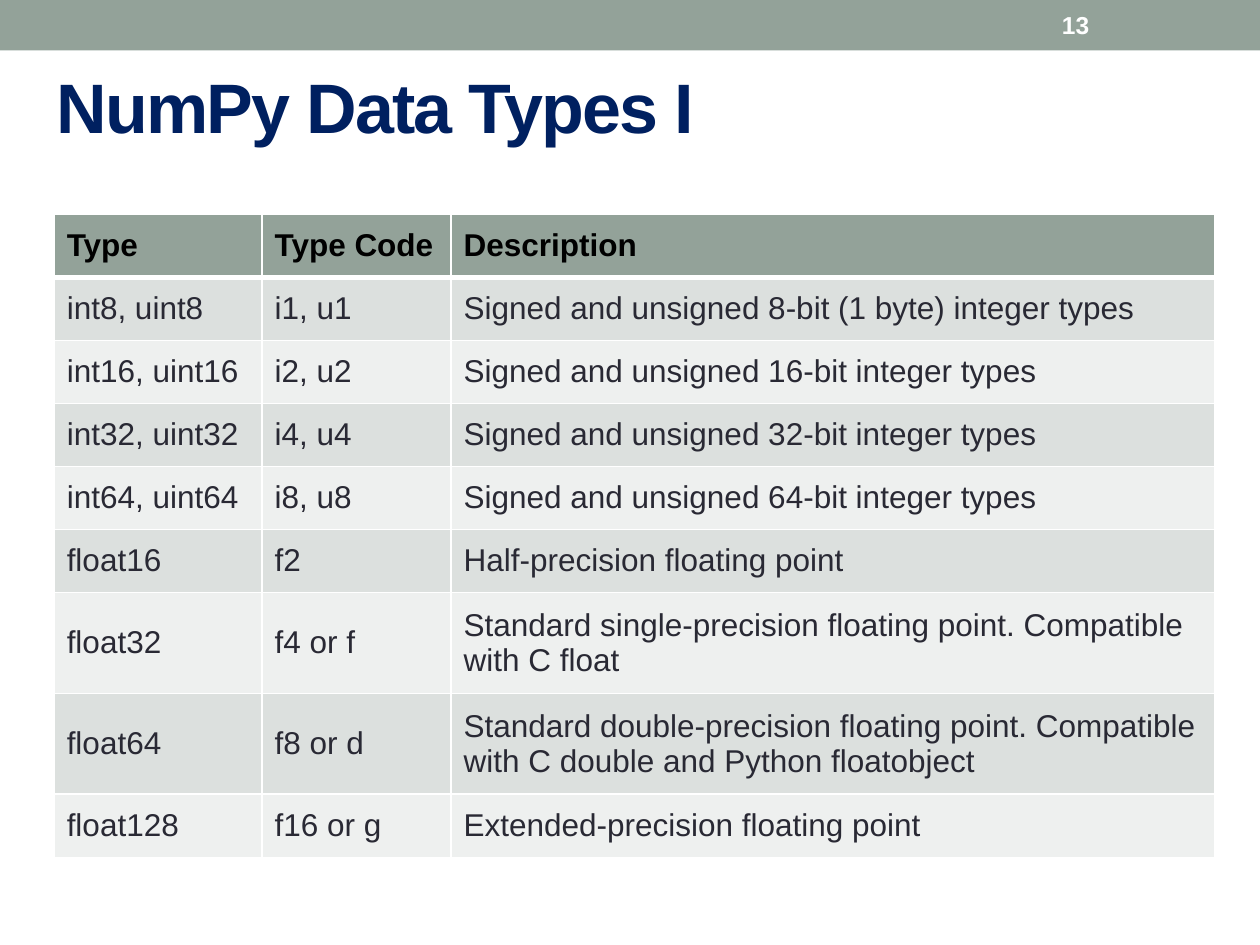
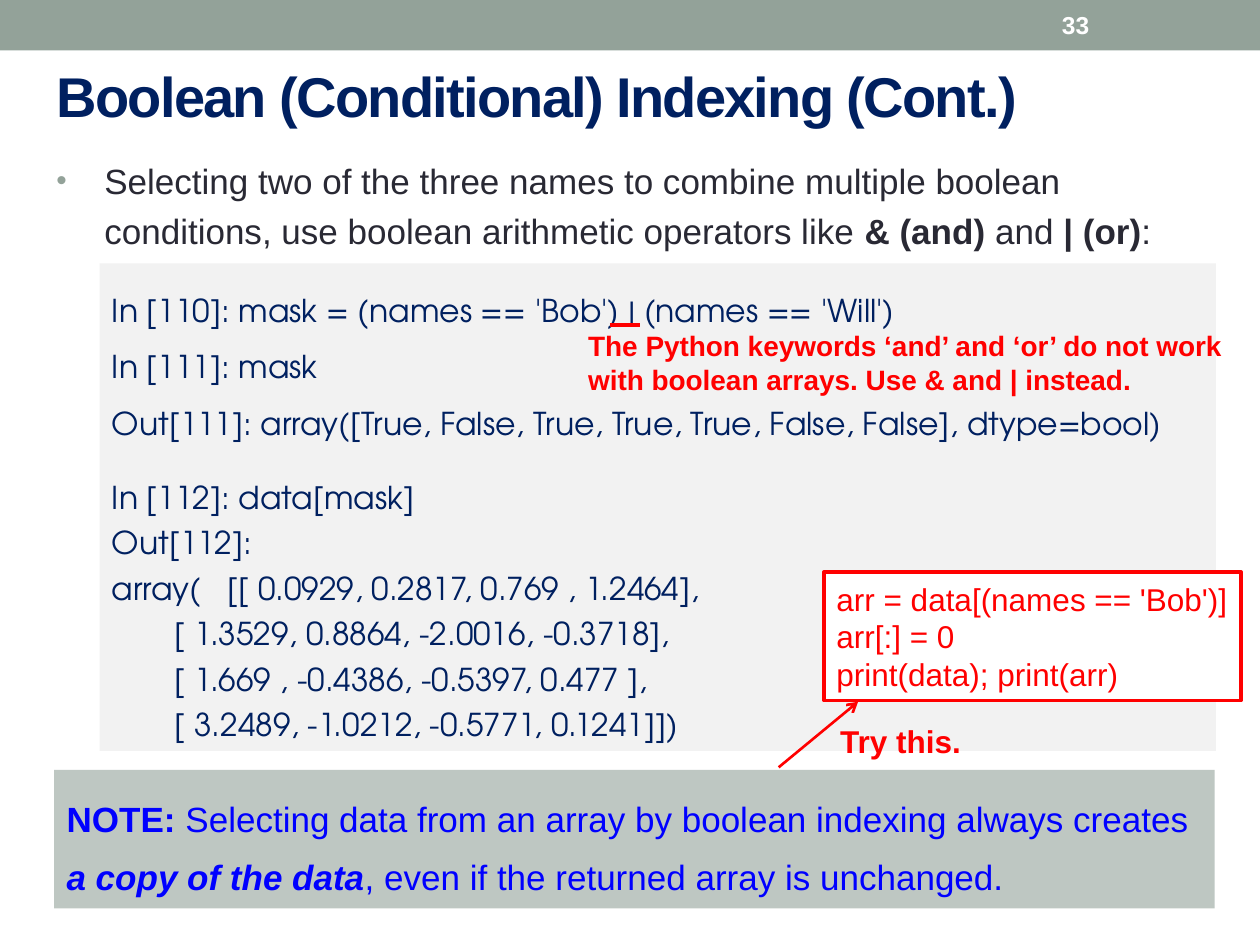
from lxml.etree import SubElement as Sub
from pptx import Presentation
from pptx.dml.color import RGBColor
from pptx.enum.shapes import MSO_CONNECTOR as Conn, MSO_SHAPE as Shape
from pptx.enum.text import MSO_ANCHOR as Anchor, PP_ALIGN as Align
from pptx.oxml.ns import qn
from pptx.util import Inches, Pt

# Shared style
HUES = {
    "band": "93A299", "title": "002060", "ink": "292934", "head": "000000",
    "odd": "DCE0DE", "even": "EEF0EF", "code": "F2F2F2", "note": "BEC7C2",
    "blue": "0000FF", "red": "FF0000", "white": "FFFFFF",
}
SANS, GEO = "Arial", "TeX Gyre Adventor"

# Slide 1 content
COLS = [1.65, 1.5, 6.06]
ROW = 0.41
TYPES = [
    ("Type", "Type Code", "Description"),
    ("int8, uint8", "i1, u1", "Signed and unsigned 8-bit (1 byte) integer types"),
    ("int16, uint16", "i2, u2", "Signed and unsigned 16-bit integer types"),
    ("int32, uint32", "i4, u4", "Signed and unsigned 32-bit integer types"),
    ("int64, uint64", "i8, u8", "Signed and unsigned 64-bit integer types"),
    ("float16", "f2", "Half-precision floating point"),
    ("float32", "f4 or f",
     "Standard single-precision floating point. Compatible with C float"),
    ("float64", "f8 or d",
     "Standard double-precision floating point. Compatible with C double "
     "and Python floatobject"),
    ("float128", "f16 or g", "Extended-precision floating point"),
]

# Slide 2 content: a run is (text, flags), with b for bold and i for italic
LEAD = [
    ("Selecting two of the three names to combine multiple boolean "
     "conditions, use boolean arithmetic operators like ", ""),
    ("& (and) ", "b"), ("and ", ""), ("| (or)", "b"), (":", ""),
]
# (line, line spacing, space before in points)
CODE = [
    ("In [110]: mask = (names == 'Bob') | (names == 'Will')", 1.5, 0),
    ("In [111]: mask", 1.5, 0),
    ("Out[111]: array([True, False, True, True, True, False, False], dtype=bool)",
     1.5, 0),
    ("In [112]: data[mask]", 1.5, 10),
    ("Out[112]:", 1.2, 0),
    ("array(   [[ 0.0929, 0.2817, 0.769 , 1.2464],", 1.2, 0),
    ("\t[ 1.3529, 0.8864, -2.0016, -0.3718],", 1.2, 0),
    ("\t[ 1.669 , -0.4386, -0.5397, 0.477 ],", 1.2, 0),
    ("\t[ 3.2489, -1.0212, -0.5771, 0.1241]])", 1.2, 0),
]
NOTE = [
    ("NOTE: ", "b"),
    ("Selecting data from an array by boolean indexing always creates ", ""),
    ("a copy of the data", "bi"),
    (", even if the returned array is unchanged.", ""),
]
TASK = ["arr = data[(names == 'Bob')]", "arr[:] = 0", "print(data); print(arr)"]
HINT = ("The Python keywords ‘and’ and ‘or’ do not work with boolean arrays. "
        "Use & and | instead.")


def hue(name):
    return RGBColor.from_string(HUES[name])


def style(para, size, color, face=SANS, bold=None):
    para.alignment = Align.LEFT
    font = para.font
    font.name, font.size, font.bold = face, Pt(size), bold
    font.color.rgb = hue(color)


def write(frame, paras, size, color, face=SANS, bold=None, mid=True):
    """Fill a frame; each paragraph is a string or a list of runs."""
    frame.word_wrap = True
    frame.vertical_anchor = Anchor.MIDDLE if mid else Anchor.TOP
    for n, runs in enumerate(paras):
        para = frame.paragraphs[0] if n == 0 else frame.add_paragraph()
        if isinstance(runs, str):
            para.add_run().text = runs
        else:
            for text, flags in runs:
                run = para.add_run()
                run.text = text
                run.font.bold = "b" in flags
                run.font.italic = "i" in flags
        style(para, size, color, face, bold)
    return frame.paragraphs


def label(slide, box, *args, **opts):
    frame = slide.shapes.add_textbox(*map(Inches, box)).text_frame
    return write(frame, *args, **opts)


def panel(slide, box, fill, edge=None):
    rect = slide.shapes.add_shape(Shape.RECTANGLE, *map(Inches, box))
    rect.shadow.inherit = False
    rect.fill.solid()
    rect.fill.fore_color.rgb = hue(fill)
    if edge:
        rect.line.color.rgb = hue(edge)
        rect.line.width = Pt(2)
    else:
        rect.line.fill.background()
    return rect.text_frame


def stroke(slide, ends, width, arrow=False):
    line = slide.shapes.add_connector(Conn.STRAIGHT, *map(Inches, ends))
    line.line.color.rgb = hue("red")
    line.line.width = Pt(width)
    if arrow:
        Sub(line.line._get_or_add_ln(), qn("a:tailEnd"), type="arrow")
    Sub(line._element.spPr, qn("a:effectLst"))


def bullet(para):
    props = para._p.get_or_add_pPr()
    props.set("marL", str(Inches(0.38)))
    props.set("indent", str(-Inches(0.38)))
    tint = Sub(props, qn("a:buClr"))
    Sub(tint, qn("a:srgbClr"), val=HUES["band"])
    Sub(props, qn("a:buSzPct"), val="85000")
    Sub(props, qn("a:buFont"), typeface=SANS)
    Sub(props, qn("a:buChar"), char="•")


def border(cell, side, width):
    edge = Sub(cell._tc.get_or_add_tcPr(), qn("a:ln" + side), w=str(Pt(width)))
    Sub(Sub(edge, qn("a:solidFill")), qn("a:srgbClr"), val=HUES["white"])


def start(deck, title, box, size, number):
    """Add a slide with its band, title and number."""
    slide = deck.slides.add_slide(deck.slide_layouts[6])
    panel(slide, (0, 0, 10, 0.4), "band")
    head = label(slide, box, [title], size, "title", bold=True)
    head[0].runs[0]._r.get_or_add_rPr().set("spc", "-100")
    label(slide, (8.33, 0.02, 1.17, 0.36), [number], 14, "white", bold=True)
    return slide


def types(deck):
    slide = start(deck, "NumPy Data Types I", (0.35, 0.44, 9, 0.8), 40, "13")
    size = (0.43, 1.7, sum(COLS), ROW * len(TYPES))
    grid = slide.shapes.add_table(len(TYPES), len(COLS), *map(Inches, size)).table
    for col, width in zip(grid.columns, COLS):
        col.width = Inches(width)
    for r, row in enumerate(TYPES):
        fill = "band" if r == 0 else "odd" if r % 2 else "even"
        for c, text in enumerate(row):
            cell = grid.cell(r, c)
            cell.margin_left = cell.margin_right = Inches(0.1)
            cell.margin_top = cell.margin_bottom = Inches(0.1)
            cell.vertical_anchor = Anchor.MIDDLE
            # A thick rule parts the header from the body
            for side in "LRTB":
                thick = (r, side) in ((0, "B"), (1, "T"))
                border(cell, side, 3 if thick else 1)
            cell.fill.solid()
            cell.fill.fore_color.rgb = hue(fill)
            para = cell.text_frame.paragraphs[0]
            para.add_run().text = text
            style(para, 18, "ink" if r else "head", bold=r == 0)


def masks(deck):
    slide = start(deck, "Boolean (Conditional) Indexing (Cont.)",
                  (0.35, 0.36, 9.65, 0.79), 32, "33")

    # Lead sentence
    frame = slide.shapes.add_textbox(
        *map(Inches, (0.35, 1.15, 9.33, 1.18))).text_frame
    bullet(frame.paragraphs[0])
    write(frame, [LEAD], 20, "ink", mid=False)[0].line_spacing = 1.2

    # Code panel
    lines = write(panel(slide, (0.79, 2.09, 8.86, 3.87), "code"),
                  [text for text, _, _ in CODE], 18, "title", GEO)
    for para, (_, pitch, gap) in zip(lines, CODE):
        para.line_spacing = pitch
        if gap:
            para.space_before = Pt(gap)

    # Note band
    note = write(panel(slide, (0.43, 6.11, 9.21, 1.1), "note"), [NOTE], 20, "blue")
    note[0].line_spacing = 1.4

    # Red remarks
    write(panel(slide, (6.54, 4.54, 3.31, 1.02), "white", "red"), TASK, 18, "red")
    stroke(slide, (6.18, 6.09, 6.81, 5.57), 1.5, arrow=True)
    label(slide, (6.57, 5.68, 1.26, 0.4), ["Try this."], 18, "red",
          bold=True, mid=False)
    label(slide, (4.57, 2.56, 5.43, 0.64), [HINT], 16, "red",
          bold=True, mid=False)
    stroke(slide, (4.84, 2.58, 5.08, 2.58), 2)


def main():
    deck = Presentation()
    deck.slide_width, deck.slide_height = Inches(10), Inches(7.5)
    types(deck)
    masks(deck)
    deck.save("out.pptx")


if __name__ == "__main__":
    main()
